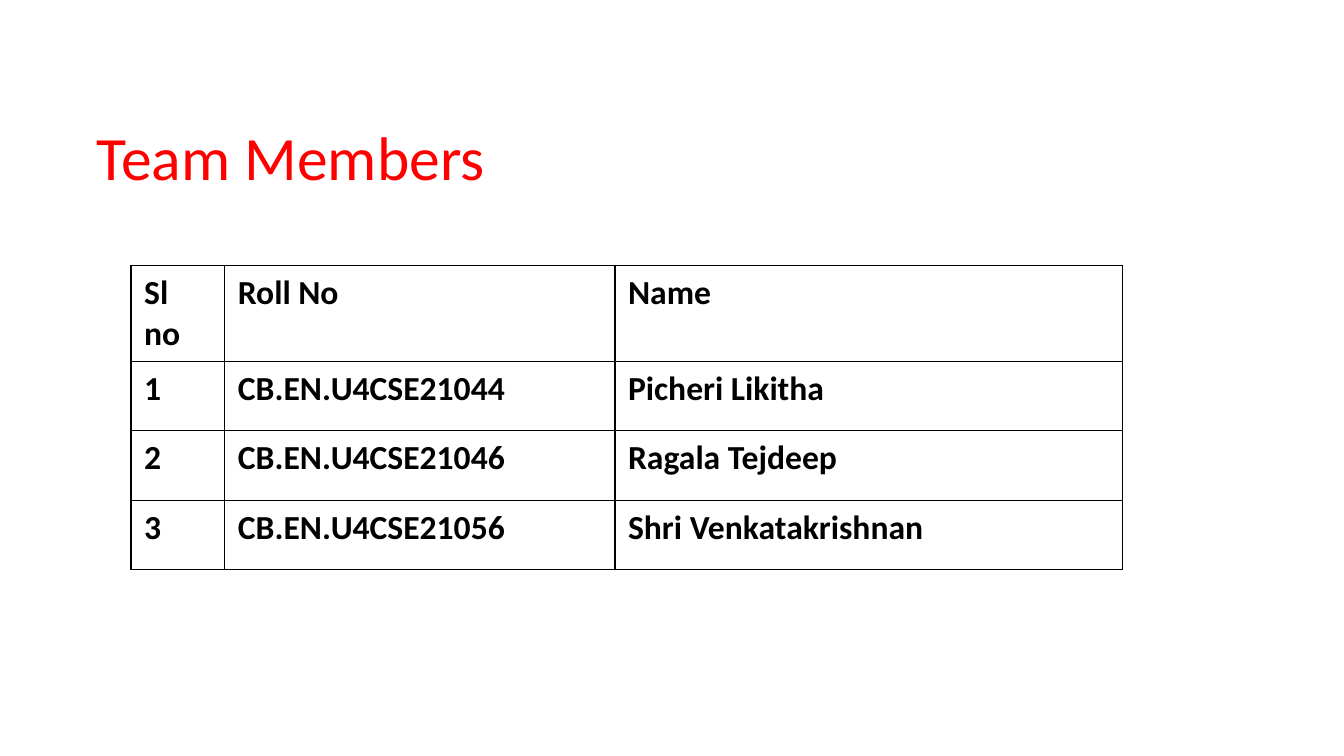
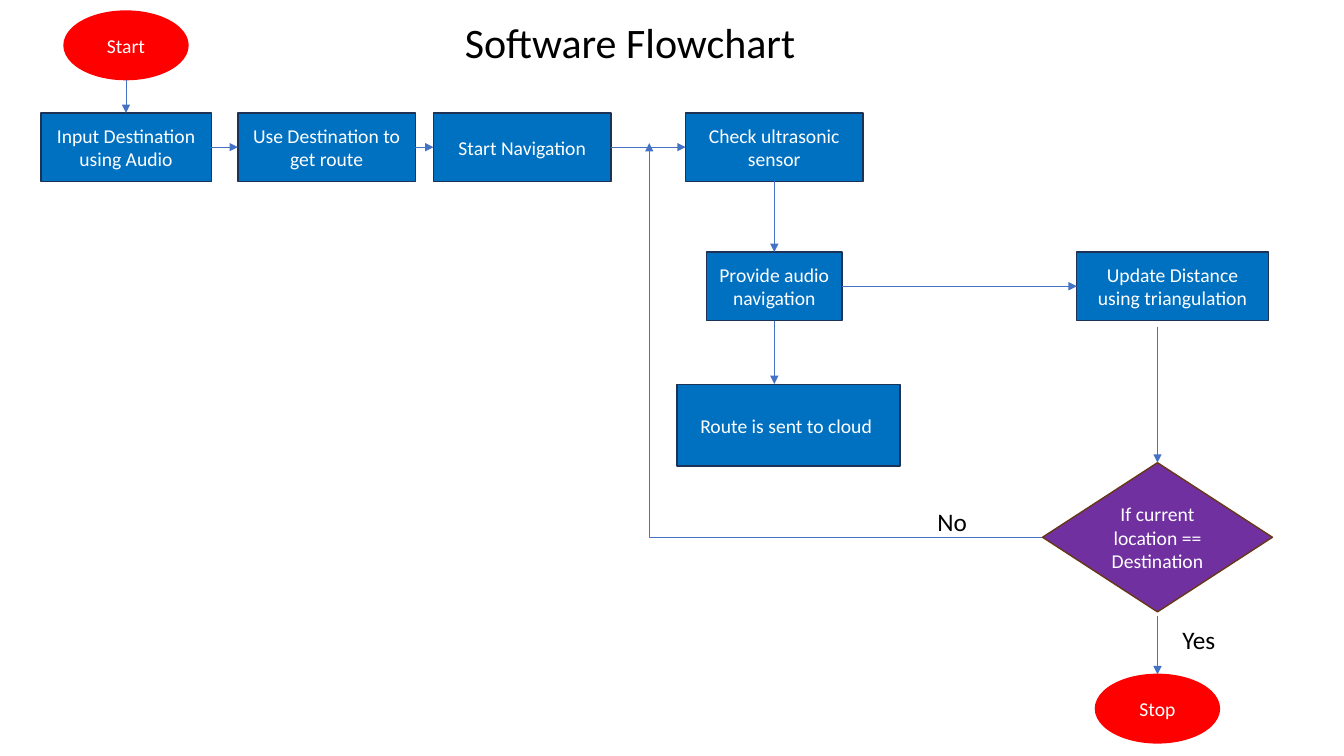
"""Build a team table slide and a software flowchart slide."""
from dataclasses import dataclass

from lxml import etree
from pptx import Presentation
from pptx.dml.color import RGBColor
from pptx.enum.shapes import MSO_CONNECTOR, MSO_SHAPE
from pptx.enum.text import MSO_ANCHOR, MSO_AUTO_SIZE, PP_ALIGN
from pptx.oxml.ns import qn
from pptx.util import Inches, Pt

RECT, OVAL, GEM = MSO_SHAPE.RECTANGLE, MSO_SHAPE.OVAL, MSO_SHAPE.DIAMOND
LINE, BENT = MSO_CONNECTOR.STRAIGHT, MSO_CONNECTOR.ELBOW
LEFT, MID = PP_ALIGN.LEFT, PP_ALIGN.CENTER
UPPER, CORE = MSO_ANCHOR.TOP, MSO_ANCHOR.MIDDLE
TOP, WEST, BASE, EAST = range(4)


@dataclass(frozen=True)
class Theme:
    """Colours, font and type sizes."""
    font: str = "Calibri"
    black: str = "000000"
    white: str = "FFFFFF"
    red: str = "FF0000"
    blue: str = "0070C0"
    navy: str = "1E3256"
    plum: str = "7030A0"
    brown: str = "683715"
    arrow: str = "4472C4"
    head: int = 44
    sub: int = 30
    cell: int = 24
    tag: int = 18
    node: int = 14


T = Theme()

TEAM = [
    ("Sl no", "Roll No", "Name"),
    ("1", "CB.EN.U4CSE21044", "Picheri Likitha"),
    ("2", "CB.EN.U4CSE21046", "Ragala Tejdeep"),
    ("3", "CB.EN.U4CSE21056", "Shri Venkatakrishnan"),
]
WIDTHS = (0.93, 3.87, 5.03)
HEIGHTS = (0.93, 0.69, 0.69, 0.69)

COLS = {"input": 1.25, "use": 3.24, "nav": 5.18, "sense": 7.68,
        "cloud": 7.82, "test": 11.48, "update": 11.63}
ROWS = {"start": 0.45, "chain": 1.46, "audio": 2.84,
        "cloud": 4.22, "test": 5.33, "stop": 7.03}
LOOKS = {
    "step": (RECT, T.blue, T.navy),
    "end": (OVAL, T.red, T.red),
    "test": (GEM, T.plum, T.brown),
}
NODES = {
    "start": ("Start", "end", "input", "start", 1.23, 0.68),
    "input": ("Input Destination using Audio", "step", "input", "chain", 1.69, 0.68),
    "use": ("Use Destination to get route", "step", "use", "chain", 1.76, 0.68),
    "nav": ("Start Navigation", "step", "nav", "chain", 1.76, 0.68),
    "sense": ("Check ultrasonic sensor", "step", "sense", "chain", 1.76, 0.68),
    "audio": ("Provide audio navigation", "step", "sense", "audio", 1.34, 0.68),
    "cloud": ("Route is sent to cloud ", "step", "cloud", "cloud", 2.21, 0.81),
    "update": ("Update Distance using triangulation", "step", "update", "audio", 1.9, 0.68),
    "test": ("If current location == Destination", "test", "test", "test", 2.28, 1.48),
    "stop": ("Stop", "end", "test", "stop", 1.23, 0.68),
}
ARROWS = [
    ((COLS["input"], 0.79), ("input", TOP)),
    (("input", EAST), ("use", WEST)),
    (("use", EAST), ("nav", WEST)),
    (("nav", EAST), ("sense", WEST)),
    (("sense", BASE), ("audio", TOP)),
    (("audio", BASE), (COLS["sense"], 3.81)),
    (("audio", EAST), ("update", WEST)),
    ((COLS["test"], 3.24), ("test", TOP)),
    ((COLS["test"], 6.11), ("stop", TOP)),
]
LOOP = ((10.34, ROWS["test"]), (6.44, 1.42))
TAGS = [("No", 9.2, 4.97), ("Yes", 11.63, 6.14)]


def ink(code):
    return RGBColor.from_string(code)


def write(frame, text, size, color, align=LEFT, bold=False, anchor=UPPER):
    frame.text = text
    frame.vertical_anchor = anchor
    para = frame.paragraphs[0]
    para.alignment = align
    for run in para.runs:
        font = run.font
        font.name, font.size, font.bold = T.font, Pt(size), bold
        font.color.rgb = ink(color)


def pad(part, side, edge):
    part.margin_left = part.margin_right = Inches(side)
    part.margin_top = part.margin_bottom = Inches(edge)


def titled(deck, text, box, size, color, align, inset, pitch):
    slide = deck.slides.add_slide(deck.slide_layouts[5])
    title = slide.shapes.title
    title.left, title.top, title.width, title.height = map(Inches, box)
    frame = title.text_frame
    frame.auto_size = MSO_AUTO_SIZE.NONE
    frame.word_wrap = True
    pad(frame, *inset)
    write(frame, text, size, color, align)
    frame.paragraphs[0].line_spacing = pitch
    return slide


def border(cell):
    props = cell._tc.get_or_add_tcPr()
    for at, side in enumerate(("lnL", "lnR", "lnT", "lnB")):
        edge = etree.Element(qn("a:" + side), w=str(Pt(1)))
        fill = etree.SubElement(edge, qn("a:solidFill"))
        etree.SubElement(fill, qn("a:srgbClr"), val=T.black)
        props.insert(at, edge)


def roster(slide):
    box = map(Inches, (1.3, 2.63, sum(WIDTHS), sum(HEIGHTS)))
    grid = slide.shapes.add_table(len(TEAM), len(WIDTHS), *box).table
    grid.first_row = grid.horz_banding = False
    for col, width in zip(grid.columns, WIDTHS):
        col.width = Inches(width)
    for row, height, texts in zip(grid.rows, HEIGHTS, TEAM):
        row.height = Inches(height)
        for cell, text in zip(row.cells, texts):
            pad(cell, 0.13, 0.07)
            cell.fill.background()
            border(cell)
            write(cell.text_frame, text, T.cell, T.black, bold=True)


def add_node(slide, text, look, col, row, width, height):
    kind, fill, edge = LOOKS[look]
    box = (COLS[col] - width / 2, ROWS[row] - height / 2, width, height)
    shape = slide.shapes.add_shape(kind, *map(Inches, box))
    shape.shadow.inherit = False
    shape.fill.solid()
    shape.fill.fore_color.rgb = ink(fill)
    shape.line.color.rgb = ink(edge)
    shape.line.width = Pt(1)
    shape.text_frame.word_wrap = True
    write(shape.text_frame, text, T.node, T.white, MID, anchor=CORE)
    return shape


def add_arrow(slide, kind, start, end):
    link = slide.shapes.add_connector(kind, *map(Inches, start + end))
    link.line.color.rgb = ink(T.arrow)
    link.line.width = Pt(0.5)
    props = link.element.spPr
    etree.SubElement(props.find(qn("a:ln")), qn("a:tailEnd"), type="triangle")
    etree.SubElement(props, qn("a:effectLst"))
    return link


def join(slide, nodes, start, end):
    spots = [(0, 0) if spot[0] in nodes else spot for spot in (start, end)]
    link = add_arrow(slide, LINE, *spots)
    for spot, hook in ((start, link.begin_connect), (end, link.end_connect)):
        if spot[0] in nodes:
            hook(nodes[spot[0]], spot[1])


def flow(slide):
    nodes = {key: add_node(slide, *item) for key, item in NODES.items()}
    for start, end in ARROWS:
        join(slide, nodes, start, end)
    loop = add_arrow(slide, BENT, *LOOP)
    loop.element.spPr.find(qn("a:prstGeom")).set("prst", "bentConnector2")
    for text, left, top in TAGS:
        box = slide.shapes.add_textbox(*map(Inches, (left, top, 0.66, 0.4)))
        box.text_frame.word_wrap = True
        write(box.text_frame, text, T.tag, T.black)


def main():
    deck = Presentation()
    deck.slide_width, deck.slide_height = Inches(13.33), Inches(7.5)
    roster(titled(deck, "Team Members", (0.83, 1.13, 10.3, 0.84),
                  T.head, T.red, LEFT, (0.13, 0.13), 0.9))
    flow(titled(deck, "Software Flowchart", (4.49, 0.11, 3.52, 0.61),
                T.sub, T.black, MID, (0.1, 0.05), 1.0))
    deck.save("out.pptx")


if __name__ == "__main__":
    main()
